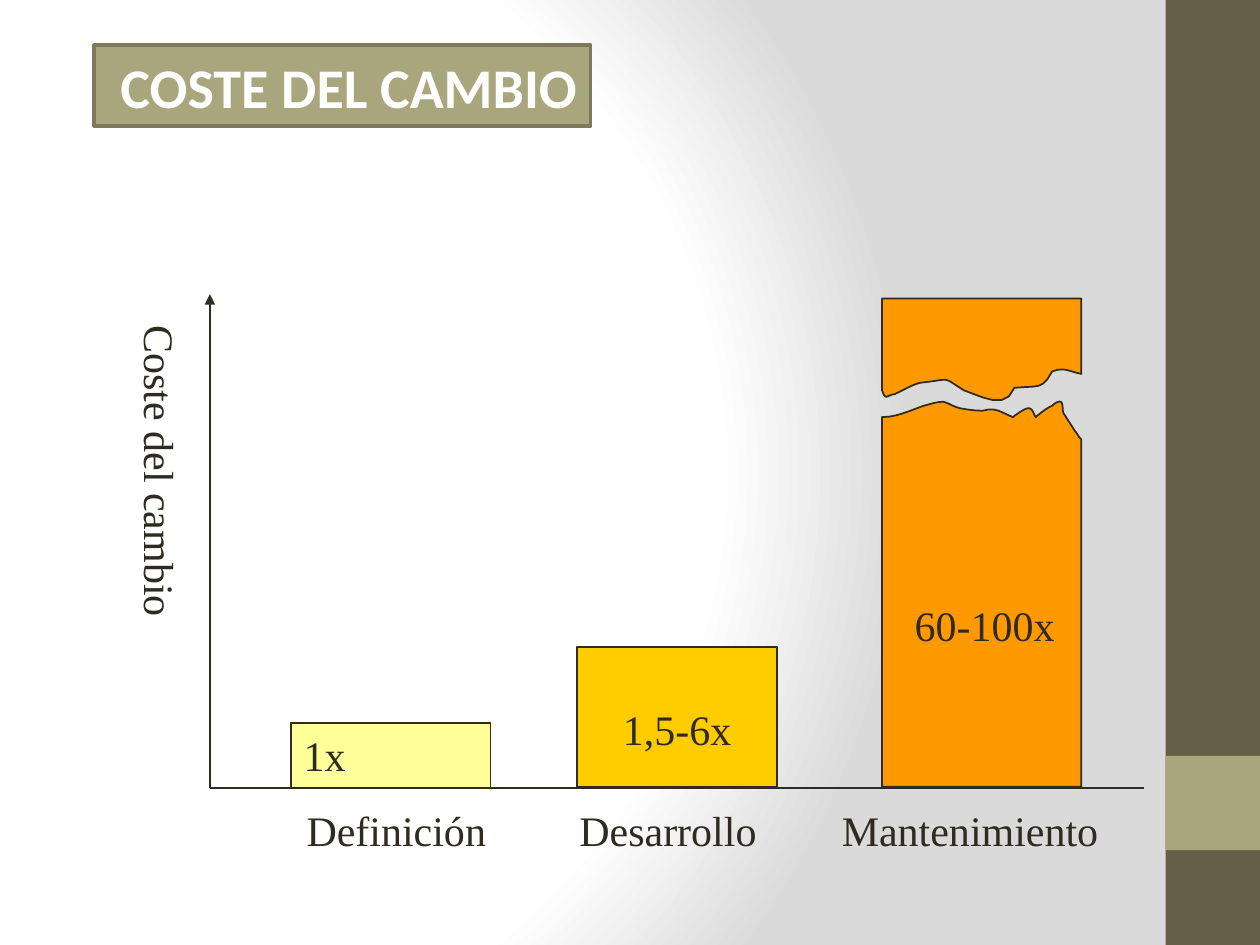
from dataclasses import dataclass
from typing import Optional

from lxml import etree
from pptx import Presentation
from pptx import util as u
from pptx.dml.color import RGBColor
from pptx.enum import shapes, text
from pptx.oxml import ns, parse_xml

INK = RGBColor(0x2F, 0x2B, 0x20)
WHITE = RGBColor(0xFF, 0xFF, 0xFF)
BROWN = RGBColor(0x67, 0x5E, 0x47)
OLIVE = RGBColor(0xA9, 0xA5, 0x7C)
OLIVE_DARK = RGBColor(0x7D, 0x7A, 0x5C)
YELLOW = RGBColor(0xFF, 0xFF, 0x99)
GOLD = RGBColor(0xFF, 0xCC, 0x00)
ORANGE = RGBColor(0xFF, 0x99, 0x00)

BAR_W = 4.02
BAR_X = 17.78
BAR_R = BAR_X + BAR_W
BASE_Y = 15.86
AXIS_X, AXIS_Y = 4.23, 15.88
CURVE_STEPS = 6

BACKGROUND = f"""<p:bg {ns.nsdecls('p', 'a')}><p:bgPr>
<a:gradFill rotWithShape="1"><a:gsLst>
<a:gs pos="0"><a:srgbClr val="FFFFFF"/></a:gs>
<a:gs pos="75000"><a:srgbClr val="FFFFFF"/></a:gs>
<a:gs pos="100000"><a:srgbClr val="DADADA"/></a:gs>
</a:gsLst><a:path path="circle">
<a:fillToRect l="20000" t="50000" r="100000" b="50000"/>
</a:path></a:gradFill><a:effectLst/></p:bgPr></p:bg>"""


@dataclass
class Box:
    x: float
    y: float
    w: float
    h: float
    words: str = ""
    fill: Optional[RGBColor] = None
    line: Optional[RGBColor] = None
    line_pt: float = 1
    align: text.PP_ALIGN = text.PP_ALIGN.LEFT
    anchor: text.MSO_ANCHOR = text.MSO_ANCHOR.TOP
    top: float = 0.13
    wrap: bool = True
    font: str = "Times New Roman"
    size: float = 24
    color: RGBColor = INK
    bold: bool = False
    vertical: bool = False


@dataclass
class Piece:
    corners: list[tuple[float, float]]
    curves: list[tuple[float, float, float, float, float, float]]


CENTER, MIDDLE = text.PP_ALIGN.CENTER, text.MSO_ANCHOR.MIDDLE

SIDEBAR = [
    Box(23.5, 0, 1.9, 19.05, fill=BROWN),
    Box(23.5, 15.24, 1.9, 1.9, fill=OLIVE),
]
PHASES = [
    Box(5.93, 16.09, 5.5, 1.27, "Definición"),
    Box(11.43, 16.09, 4.23, 1.27, "Desarrollo"),
    Box(16.72, 16.09, 6.77, 1.27, "Mantenimiento"),
]
BARS = [
    Box(5.87, 14.58, BAR_W, 1.3, "1x", YELLOW, INK),
    Box(11.64, 13.04, BAR_W, 2.82, "1,5-6x", GOLD, INK,
        align=CENTER, anchor=MIDDLE, top=0.6),
]
BROKEN_VALUE = Box(18.16, 11.1, 3.38, 2.97, "60-100x", ORANGE,
                   align=CENTER, anchor=MIDDLE, wrap=False)
AXIS_TITLE = Box(2.36, 6.43, 1.52, 6.4, "Coste del cambio", vertical=True)
TITLE = Box(1.9, 0.91, 10.01, 1.63, " COSTE DEL CAMBIO", OLIVE, OLIVE_DARK, 2,
            align=CENTER, anchor=MIDDLE, wrap=False,
            font="Calibri", size=32, color=WHITE, bold=True)

LOWER = Piece(
    [(BAR_X, BASE_Y), (BAR_R, BASE_Y), (BAR_R, 8.86)],
    [
        (21.74, 8.81, 21.72, 8.74, 21.67, 8.69),
        (21.59, 8.56, 21.44, 8.33, 21.44, 8.33),
        (21.41, 8.26, 21.44, 8.15, 21.39, 8.1),
        (21.34, 8.08, 21.26, 8.13, 21.21, 8.18),
        (21.08, 8.23, 20.88, 8.41, 20.88, 8.41),
        (20.83, 8.33, 20.83, 8.26, 20.75, 8.23),
        (20.7, 8.2, 20.45, 8.38, 20.42, 8.41),
        (20.17, 8.31, 20.07, 8.2, 19.81, 8.28),
        (19.66, 8.28, 19.51, 8.26, 19.35, 8.23),
        (19.23, 8.2, 19.13, 8.13, 19.02, 8.1),
        (18.87, 8.1, 18.75, 8.15, 18.62, 8.18),
        (18.34, 8.28, 18.08, 8.41, BAR_X, 8.41),
    ],
)
UPPER = Piece(
    [(BAR_X, 7.87), (BAR_X, 6.02), (BAR_R, 6.02), (BAR_R, 7.54)],
    [
        (21.54, 7.49, 21.46, 7.39, 21.21, 7.49),
        (21.01, 7.87, 20.93, 7.77, 20.45, 7.82),
        (20.27, 8.28, 19.81, 8, 19.43, 7.87),
        (18.95, 7.57, 19.23, 7.65, 18.54, 7.72),
        (18.36, 7.77, 18.21, 7.87, 18.03, 7.95),
        (17.96, 7.95, 17.91, 8, 17.86, 8),
        (17.81, 7.98, 17.81, 7.92, BAR_X, 7.87),
    ],
)


def paint(sp, fill: Optional[RGBColor], line: Optional[RGBColor], width: float) -> None:
    sp.shadow.inherit = False
    if fill is None:
        sp.fill.background()
    else:
        sp.fill.solid()
        sp.fill.fore_color.rgb = fill
    if line is None:
        sp.line.fill.background()
    else:
        sp.line.color.rgb = line
        sp.line.width = u.Pt(width)


def draw_box(s, box: Box) -> None:
    place = [u.Cm(v) for v in (box.x, box.y, box.w, box.h)]
    if box.fill is None:
        sp = s.shapes.add_textbox(*place)
    else:
        sp = s.shapes.add_shape(shapes.MSO_SHAPE.RECTANGLE, *place)
        paint(sp, box.fill, box.line, box.line_pt)
    if not box.words:
        return
    tf = sp.text_frame
    tf.text = box.words
    tf.word_wrap = box.wrap
    tf.vertical_anchor = box.anchor
    tf.margin_top = u.Cm(box.top)
    if box.vertical:
        tf._txBody.bodyPr.set("vert", "eaVert")
    p = tf.paragraphs[0]
    p.alignment = box.align
    f = p.runs[0].font
    f.name, f.size, f.bold = box.font, u.Pt(box.size), box.bold
    f.color.rgb = box.color


def draw_piece(s, piece: Piece) -> None:
    pts = list(piece.corners)
    for x1, y1, x2, y2, x3, y3 in piece.curves:
        x0, y0 = pts[-1]
        for i in range(1, CURVE_STEPS + 1):
            t = i / CURVE_STEPS
            a, b, c, d = (1 - t) ** 3, 3 * t * (1 - t) ** 2, 3 * t * t * (1 - t), t ** 3
            pts.append((a * x0 + b * x1 + c * x2 + d * x3,
                        a * y0 + b * y1 + c * y2 + d * y3))
    start, *rest = [(u.Cm(x), u.Cm(y)) for x, y in pts]
    fb = s.shapes.build_freeform(*start)
    fb.add_line_segments(rest, close=True)
    paint(fb.convert_to_shape(), ORANGE, INK, 1)


def draw_axis(s, x1: float, y1: float, x2: float, y2: float, arrow: bool = False) -> None:
    cn = s.shapes.add_connector(shapes.MSO_CONNECTOR.STRAIGHT,
                                u.Cm(x1), u.Cm(y1), u.Cm(x2), u.Cm(y2))
    cn.line.color.rgb = INK
    cn.line.width = u.Pt(1)
    if arrow:
        etree.SubElement(cn.line._get_or_add_ln(), ns.qn("a:headEnd"), type="triangle")
    etree.SubElement(cn._element.spPr, ns.qn("a:effectLst"))


def main() -> None:
    prs = Presentation()
    prs.slide_width, prs.slide_height = u.Cm(25.4), u.Cm(19.05)
    s = prs.slides.add_slide(prs.slide_layouts[6])
    s._element.cSld.insert(0, parse_xml(BACKGROUND))
    for box in SIDEBAR:
        draw_box(s, box)
    draw_axis(s, AXIS_X, 5.93, AXIS_X, AXIS_Y, arrow=True)
    draw_axis(s, AXIS_X, AXIS_Y, 23.07, AXIS_Y)
    for box in PHASES + BARS:
        draw_box(s, box)
    draw_piece(s, LOWER)
    draw_box(s, BROKEN_VALUE)
    draw_piece(s, UPPER)
    draw_box(s, AXIS_TITLE)
    draw_box(s, TITLE)
    prs.save("out.pptx")


if __name__ == "__main__":
    main()
